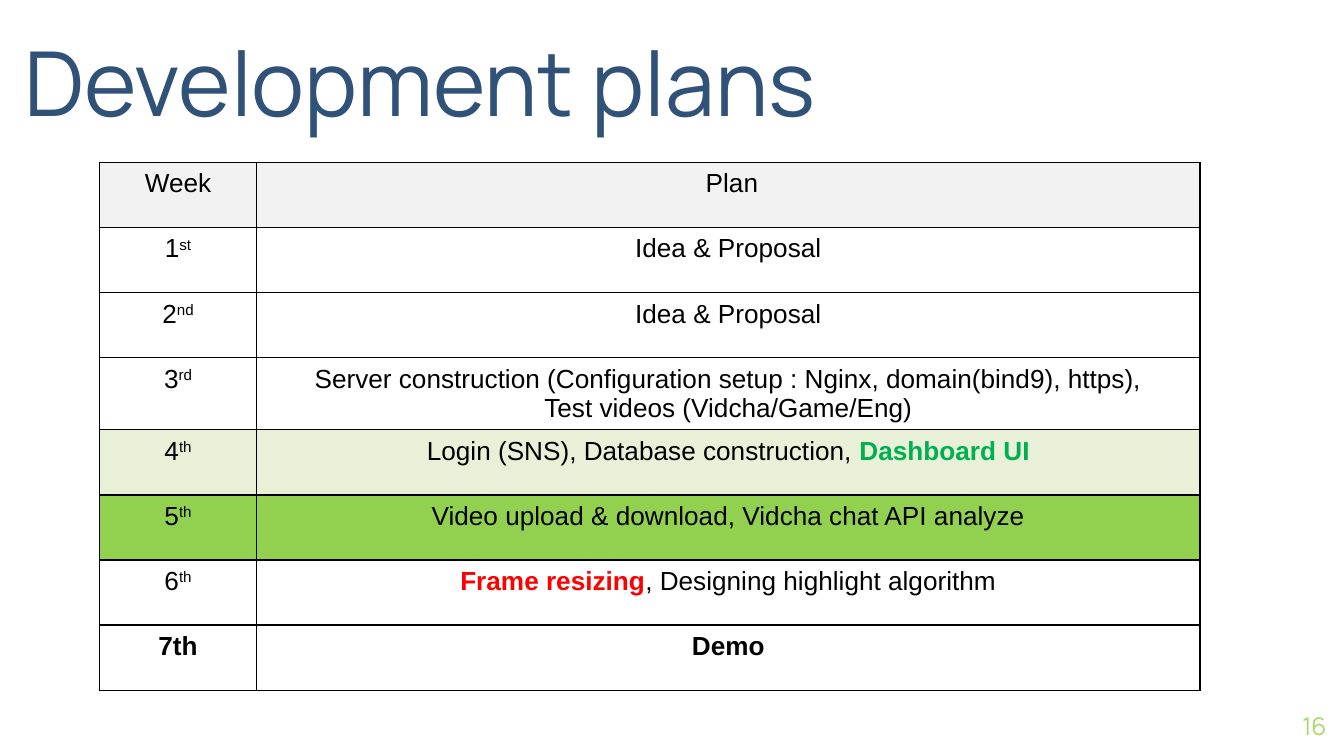
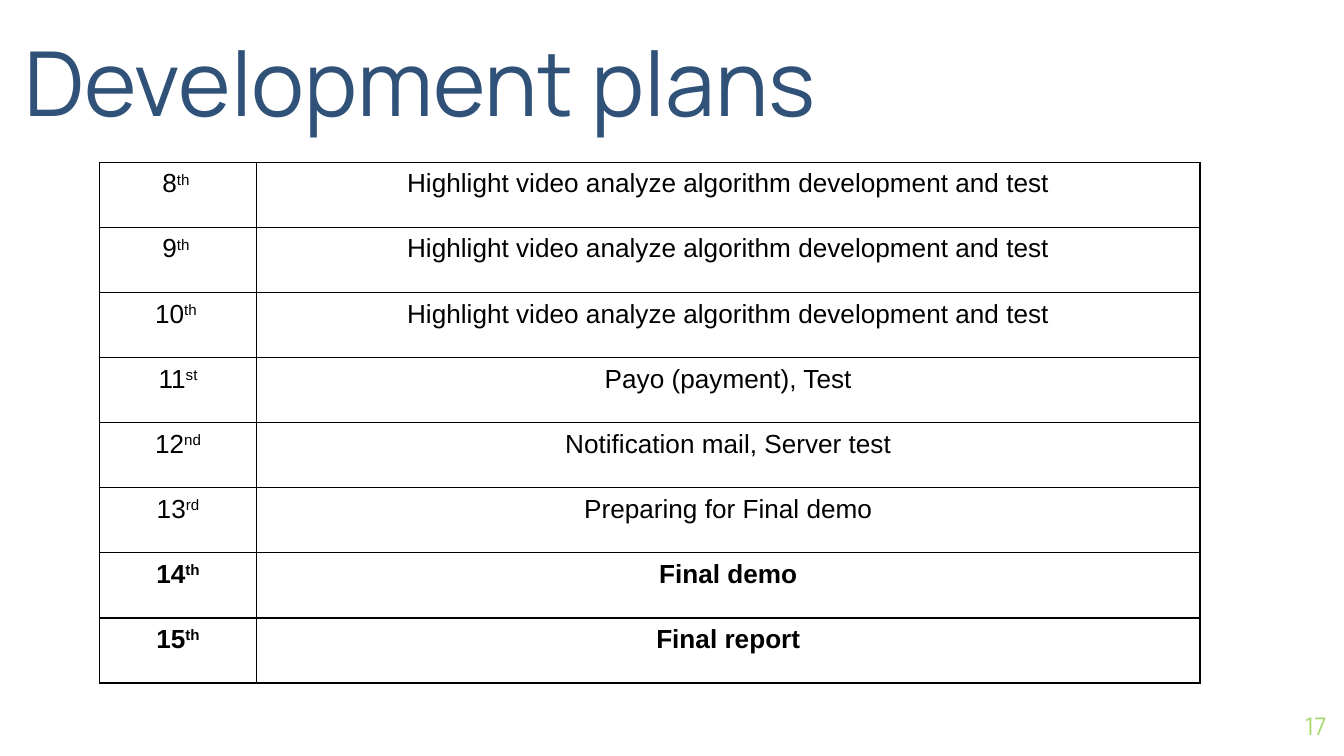
from lxml import etree
from pptx import Presentation
from pptx.dml.color import RGBColor
from pptx.enum.text import MSO_ANCHOR, MSO_AUTO_SIZE, PP_ALIGN
from pptx.oxml.ns import qn
from pptx.util import Cm, Pt

LEFT, MID, RIGHT = PP_ALIGN.LEFT, PP_ALIGN.CENTER, PP_ALIGN.RIGHT
MIDDLE, BOTTOM = MSO_ANCHOR.MIDDLE, MSO_ANCHOR.BOTTOM
FIXED = MSO_AUTO_SIZE.NONE

HUES = {
    "navy": "305178", "lime": "A7D86D", "ink": "000000", "white": "FFFFFF",
    "head": "F2F2F2", "pale": "E8F0D8", "leaf": "92D050",
    "green": "00B050", "red": "FF0000",
}
HEAD, BODY = "Manrope", "Arial"
COLS = (Cm(2.97), Cm(17.83))
ROW = Cm(1.23)
TEST = "Highlight video analyze algorithm development and test"

# Each row: week, its raised ending, plan, then fill and bold where they differ.
# A plan is a list of lines; a line is a list of (text, accent colour) parts.
FIRST = [
    ("Week", "", " Plan", {"fill": "head"}),
    ("1", "st", "Idea & Proposal", {}),
    ("2", "nd", "Idea & Proposal", {}),
    ("3", "rd", [
        [("Server construction (Configuration setup : Nginx, domain(bind9), https),", None)],
        [("Test videos (Vidcha/Game/Eng)", None)],
    ], {}),
    ("4", "th", [[("Login (SNS), Database construction, ", None),
                  ("Dashboard UI", "green")]], {"fill": "pale"}),
    ("5", "th", "Video upload & download, Vidcha chat API analyze", {"fill": "leaf"}),
    ("6", "th", [[("Frame resizing", "red"),
                  (", Designing highlight algorithm", None)]], {}),
    ("7th", "", "Demo", {"bold": True}),
]
SECOND = [
    ("8", "th ", TEST, {}),
    ("9", "th ", TEST, {}),
    ("10", "th ", TEST, {}),
    ("11", "st", "Payo (payment), Test", {}),
    ("12", "nd", "Notification mail, Server test", {}),
    ("13", "rd", "Preparing for Final demo", {}),
    ("14", "th", "Final demo", {"bold": True}),
    ("15", "th", "Final report", {"bold": True}),
]


def tint(name):
    return RGBColor.from_string(HUES[name])


def edge(cell):
    """Draw a thin dark line on all four sides of a cell."""
    props = cell._tc.get_or_add_tcPr()
    for side in ("a:lnL", "a:lnR", "a:lnT", "a:lnB"):
        line = etree.SubElement(props, qn(side), w=str(Pt(0.75)))
        fill = etree.SubElement(line, qn("a:solidFill"))
        etree.SubElement(fill, qn("a:srgbClr"), val=HUES["ink"])


class Deck:
    """Holds the shared style and the current slide."""

    def __init__(self):
        self.prs = Presentation()
        self.prs.slide_width, self.prs.slide_height = Cm(25.4), Cm(14.29)
        self.slide = None

    def start(self):
        self.slide = self.prs.slides.add_slide(self.prs.slide_layouts[5])

    def style(self, para, face, size, hue, align):
        para.alignment = align
        font = para.font
        font.name, font.size = face, Pt(size)
        font.color.rgb = tint(hue)

    def fit(self, shape, text, anchor):
        """Fill a frame that has no margins and return its paragraph."""
        frame = shape.text_frame
        frame.text = text
        frame.word_wrap, frame.auto_size = True, FIXED
        frame.vertical_anchor = anchor
        frame.margin_left = frame.margin_right = 0
        frame.margin_top = frame.margin_bottom = 0
        return frame.paragraphs[0]

    def title(self, text):
        box = self.slide.shapes.title
        box.left, box.top = Cm(0.46), Cm(0.15)
        box.width, box.height = Cm(17.5), Cm(2.39)
        self.style(self.fit(box, text, BOTTOM), HEAD, 48, "navy", LEFT)

    def number(self, num):
        box = self.slide.shapes.add_textbox(Cm(23.55), Cm(13.18), Cm(1.52), Cm(1.09))
        self.style(self.fit(box, str(num), MIDDLE), HEAD, 13, "lime", RIGHT)

    def line(self, para, parts, bold):
        self.style(para, BODY, 14, "ink", MID)
        para.font.bold = bold
        for text, hue in parts:
            run = para.add_run()
            run.text = text
            if hue:
                run.font.bold = True
                run.font.color.rgb = tint(hue)

    def cell(self, cell, lines, fill="white", bold=False):
        edge(cell)
        cell.fill.solid()
        cell.fill.fore_color.rgb = tint(fill)
        frame = cell.text_frame
        for i, parts in enumerate(lines):
            para = frame.add_paragraph() if i else frame.paragraphs[0]
            self.line(para, parts, bold)

    def table(self, rows):
        grid = self.slide.shapes.add_table(
            len(rows), len(COLS), Cm(1.88), Cm(3.07), sum(COLS), ROW * len(rows)).table
        grid.first_row = grid.horz_banding = False
        for col, width in zip(grid.columns, COLS):
            col.width = width
        for i, (week, end, plan, look) in enumerate(rows):
            grid.rows[i].height = ROW
            left, right = grid.cell(i, 0), grid.cell(i, 1)
            self.cell(left, [[(week, None)]], **look)
            if end:
                run = left.text_frame.paragraphs[0].add_run()
                run.text = end
                run.font._element.set("baseline", "30000")
            lines = [[(plan, None)]] if isinstance(plan, str) else plan
            self.cell(right, lines, **look)


def main():
    deck = Deck()
    for num, rows in enumerate((FIRST, SECOND), 16):
        deck.start()
        deck.number(num)
        deck.title("Development plans")
        deck.table(rows)
    deck.prs.save("out.pptx")


if __name__ == "__main__":
    main()
